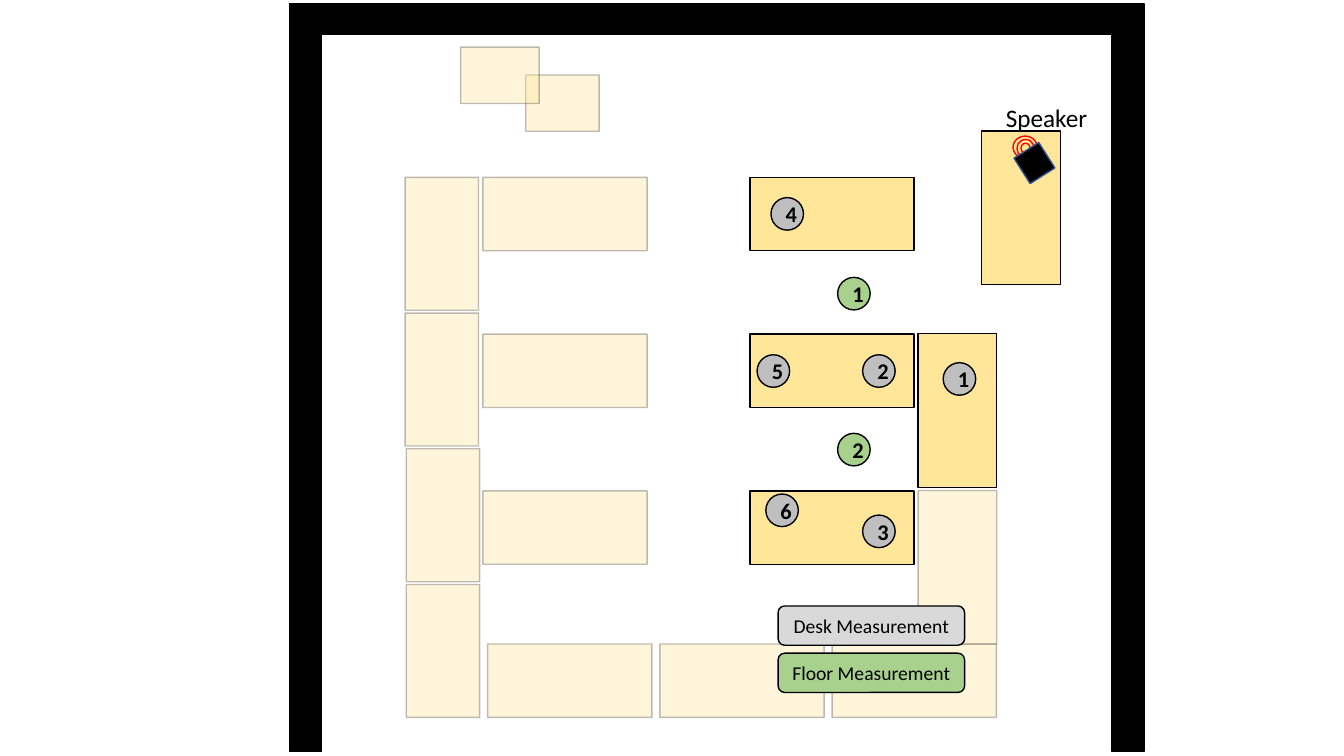
from lxml.etree import SubElement
from pptx import Presentation
from pptx.dml.color import RGBColor
from pptx.enum.shapes import MSO_SHAPE
from pptx.enum.text import MSO_ANCHOR, MSO_AUTO_SIZE, PP_ALIGN
from pptx.oxml.ns import qn
from pptx.util import Cm, Pt

COLORS = {
    "wood": "FFE699", "black": "000000", "wave": "FF0000", "trim": "325491",
    "desk": "BFBFBF", "desk_key": "D9D9D9", "floor": "A9D18E",
}
FONT = "Calibri"
ROW_W, ROW_H = 4.14, 1.85
ROW_PITCH = 3.95
SIDE_W, SIDE_H = 1.98, 3.87


def rgb(name):
    """Look up a palette colour."""
    return RGBColor.from_string(COLORS[name])


def set_alpha(fmt, percent):
    """Make a solid fill partly transparent."""
    color = fmt._xPr.find(qn("a:solidFill"))[0]
    SubElement(color, qn("a:alpha"), val=str(percent * 1000))


def add_box(s, kind, x, y, w, h, fill=None, line="black"):
    """Add a preset shape, measured in centimetres."""
    sp = s.shapes.add_shape(kind, Cm(x), Cm(y), Cm(w), Cm(h))
    sp.shadow.inherit = False
    if fill:
        sp.fill.solid()
        sp.fill.fore_color.rgb = rgb(fill)
    else:
        sp.fill.background()
    sp.line.color.rgb = rgb(line)
    sp.line.width = Pt(1)
    return sp


def add_text(sp, text, size, bold=False, align=PP_ALIGN.CENTER):
    """Write one run of black text into a shape."""
    tf = sp.text_frame
    tf.vertical_anchor = MSO_ANCHOR.MIDDLE
    p = tf.paragraphs[0]
    p.alignment = align
    r = p.add_run()
    r.text = text
    r.font.name = FONT
    r.font.size = Pt(size)
    r.font.bold = bold
    r.font.color.rgb = rgb("black")


def add_desk(s, x, y, w=ROW_W, h=ROW_H, faded=False):
    """Add a desk; unused desks are faded."""
    sp = add_box(s, MSO_SHAPE.RECTANGLE, x, y, w, h, "wood")
    if faded:
        set_alpha(sp.fill, 36)
        set_alpha(sp.line.fill, 26)


def add_walls(s, x, y, w, h):
    """Frame the room on the left, top and right."""
    side, top = 0.81, 0.76
    for wx, wy, ww, wh in [(x + w - side, y, side, h), (x, y, w, top),
                           (x, y, side, h)]:
        add_box(s, MSO_SHAPE.RECTANGLE, wx, wy, ww, wh, "black")


def add_unused_desks(s, x, y):
    """Place the faded desks on the left, at the front and at the back."""
    for i in range(3):
        add_desk(s, x + 1.96, y + i * ROW_PITCH, faded=True)
        add_desk(s, x + 2.08 + i * 4.34, y + 11.76, faded=True)
    for i in range(4):
        shift = 0.03 if i > 1 else 0
        add_desk(s, x + shift, y + i * 3.42, 1.85, 3.35, faded=True)
    add_desk(s, x + 3.04, y - 2.58, 1.85, 1.42, faded=True)
    add_desk(s, x + 1.4, y - 3.28, 1.98, 1.42, faded=True)


def add_measured_desks(s, x, y):
    """Place the desks on the right with their numbered measuring points."""
    for i in range(3):
        add_desk(s, x, y + i * ROW_PITCH)
    for i in range(2):
        add_desk(s, x + 4.24, y + 3.94 + i * ROW_PITCH, SIDE_W, SIDE_H,
                 faded=i == 1)
    points = {
        "desk": [(4.87, 4.67), (2.84, 4.47), (2.84, 8.51),
                 (0.53, 0.51), (0.18, 4.47), (0.4, 7.98)],
        "floor": [(2.21, 2.52), (2.21, 6.45)],
    }
    for kind, spots in points.items():
        for number, (dx, dy) in enumerate(spots, 1):
            sp = add_box(s, MSO_SHAPE.OVAL, x + dx, y + dy, 0.82, 0.82, kind)
            add_text(sp, str(number), 16, bold=True)


def add_speaker(s, x, y):
    """Place the speaker, its sound waves and label on a desk."""
    add_desk(s, x, y, SIDE_W, SIDE_H)
    sp = s.shapes.add_textbox(Cm(x + 0.36), Cm(y - 0.86), Cm(2.59), Cm(1.02))
    sp.text_frame.word_wrap = False
    sp.text_frame.auto_size = MSO_AUTO_SIZE.SHAPE_TO_FIT_TEXT
    add_text(sp, "Speaker", 18, align=PP_ALIGN.LEFT)
    for dx, dy, w, h in [(0.99, 0.31, 0.23, 0.25), (0.89, 0.21, 0.43, 0.46),
                         (0.79, 0.13, 0.61, 0.56)]:
        add_box(s, MSO_SHAPE.OVAL, x + dx, y + dy, w, h, line="wave")
    sp = add_box(s, MSO_SHAPE.RECTANGLE, x + 0.96, y + 0.43, 0.74, 0.76,
                 "black", "trim")
    sp.rotation = 327.6


def add_legend(s, x, y):
    """Stack the two legend labels."""
    labels = [("Desk Measurement", "desk_key"), ("Floor Measurement", "floor")]
    for i, (text, fill) in enumerate(labels):
        sp = add_box(s, MSO_SHAPE.ROUNDED_RECTANGLE, x, y + i * 1.19,
                     4.7, 0.99, fill)
        add_text(sp, text, 14)


def build_room_slide(prs):
    """Build the room plan slide."""
    s = prs.slides.add_slide(prs.slide_layouts[6])
    add_walls(s, 7.29, 0.1, 21.54, 18.84)
    add_unused_desks(s, 10.21, 4.47)
    add_measured_desks(s, 18.9, 4.47)
    add_speaker(s, 24.74, 3.3)
    add_legend(s, 19.61, 15.27)


prs = Presentation()
prs.slide_width, prs.slide_height = Cm(33.87), Cm(19.05)
build_room_slide(prs)
prs.save("out.pptx")
